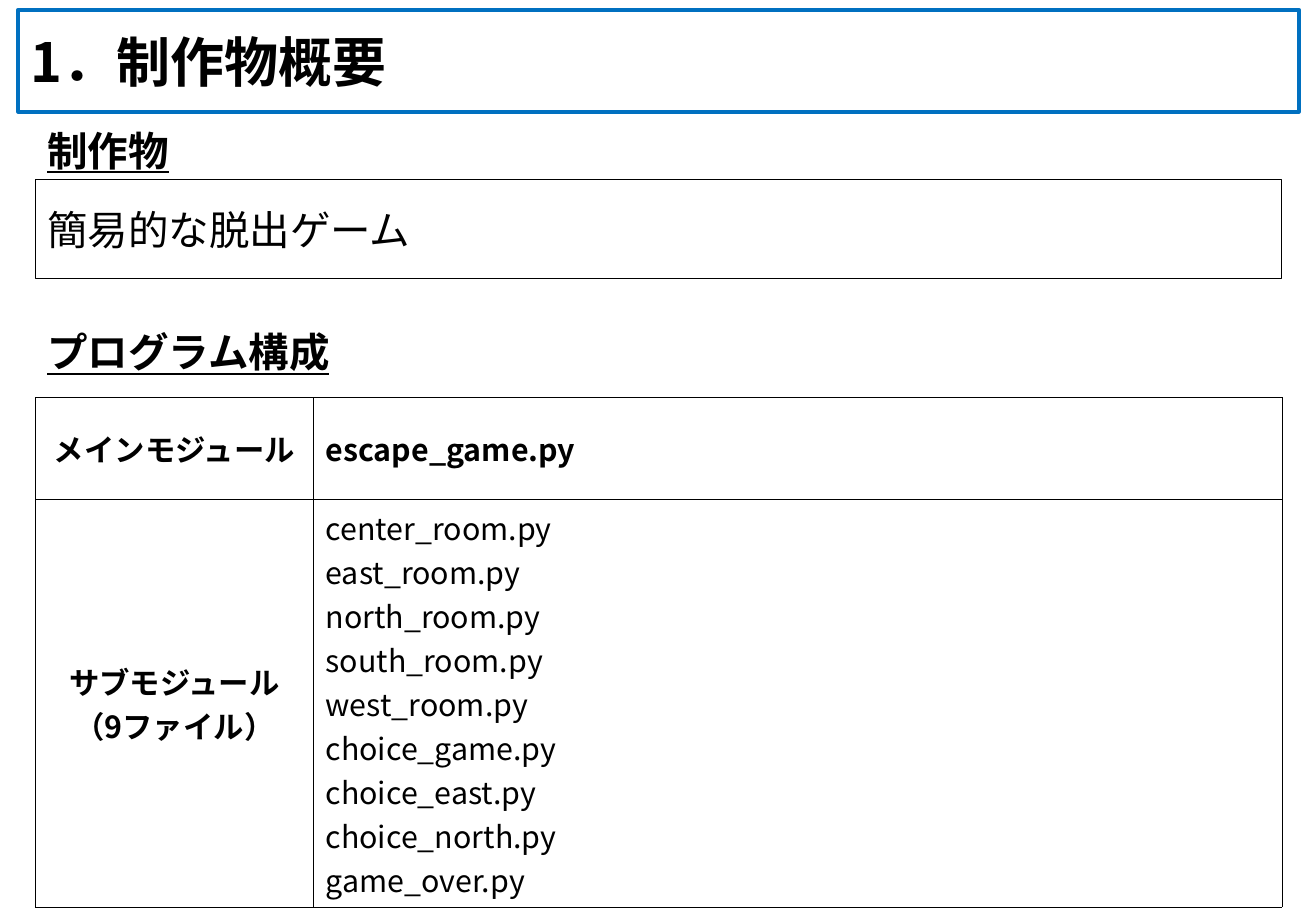
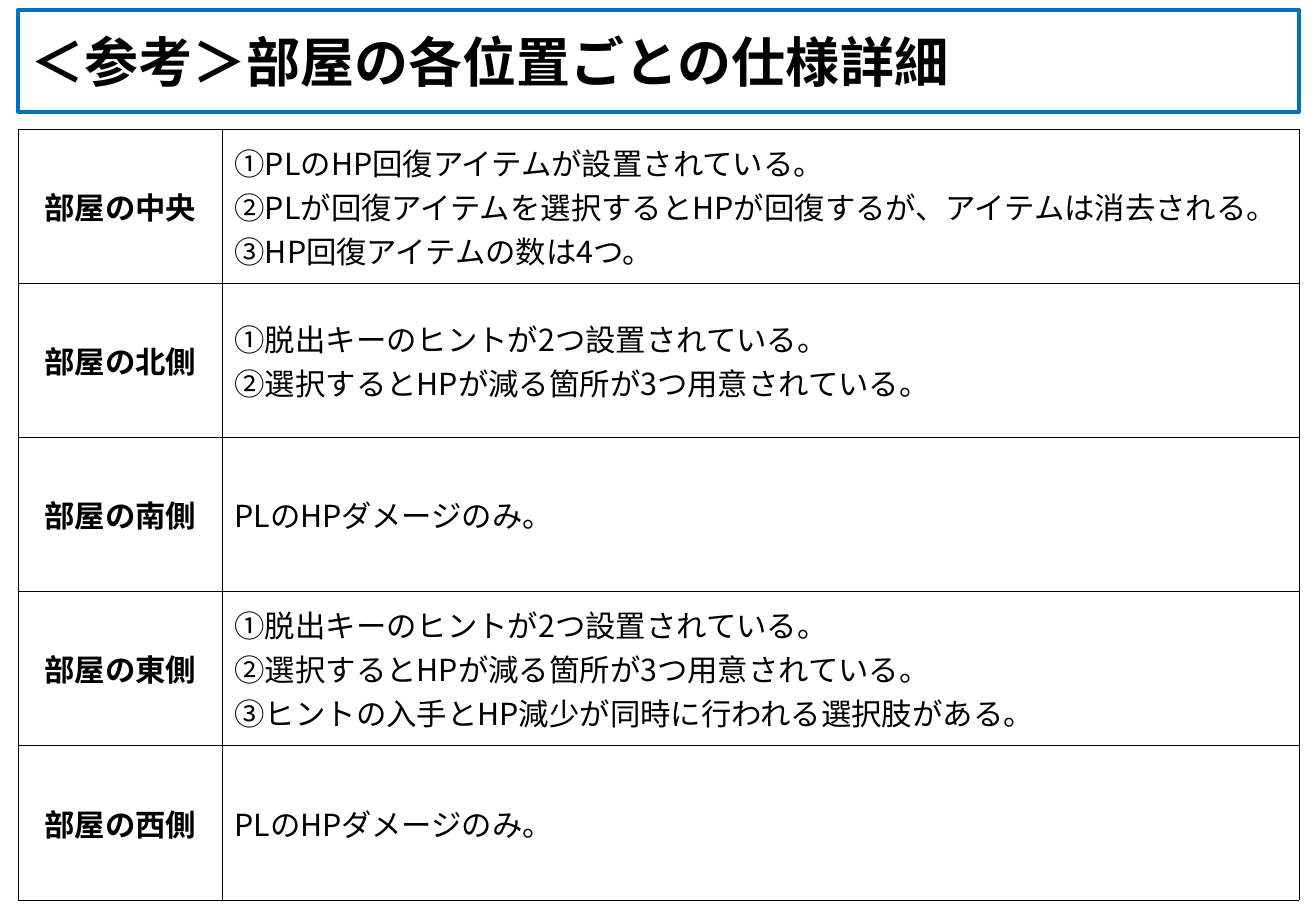
from lxml.etree import SubElement
from pptx import Presentation
from pptx.dml.color import RGBColor
from pptx.enum.shapes import MSO_SHAPE
from pptx.enum.text import MSO_ANCHOR, PP_ALIGN
from pptx.oxml import parse_xml
from pptx.oxml.ns import nsdecls, qn
from pptx.util import Inches, Pt

FONT = "Noto Sans CJK JP"
BLACK, WHITE, BLUE = "000000", "FFFFFF", "0070C0"

HINTS = ["①脱出キーのヒントが2つ設置されている。",
         "②選択するとHPが減る箇所が3つ用意されている。"]
DAMAGE = ["PLのHPダメージのみ。"]

SLIDES = [
    {
        "title": "1．制作物概要",
        "heads": [("制作物", 0.99), ("プログラム構成", 2.65)],
        "boxes": [("簡易的な脱出ゲーム", 1.48)],
        "table": {
            "at": (0.29, 3.27), "cols": [2.29, 7.97], "rows": [0.84, 3.05],
            "bold": [0],
            "cells": [
                (["メインモジュール"], ["escape_game.py"]),
                (["サブモジュール", "（9ファイル）"],
                 ["center_room.py", "east_room.py", "north_room.py",
                  "south_room.py", "west_room.py", "choice_game.py",
                  "choice_east.py", "choice_north.py", "game_over.py"]),
            ],
        },
    },
    {
        "title": "＜参考＞部屋の各位置ごとの仕様詳細",
        "heads": [],
        "boxes": [],
        "table": {
            "at": (0.15, 1.06), "cols": [1.68, 8.86], "rows": [1.27] * 5,
            "bold": [],
            "cells": [
                (["部屋の中央"],
                 ["①PLのHP回復アイテムが設置されている。",
                  "②PLが回復アイテムを選択するとHPが回復するが、アイテムは消去される。",
                  "③HP回復アイテムの数は4つ。"]),
                (["部屋の北側"], HINTS),
                (["部屋の南側"], DAMAGE),
                (["部屋の東側"],
                 HINTS + ["③ヒントの入手とHP減少が同時に行われる選択肢がある。"]),
                (["部屋の西側"], DAMAGE),
            ],
        },
    },
]


def color(code):
    return RGBColor.from_string(code)


def write(frame, lines, size, bold=False, under=False, align=PP_ALIGN.LEFT):
    frame.word_wrap = True
    frame.text = "\n".join(lines)
    for para in frame.paragraphs:
        para.alignment = align
        font = para.font
        font.name, font.size = FONT, Pt(size)
        font.bold, font.underline = bold, under
        font.color.rgb = color(BLACK)
        props = para._p.pPr.find(qn("a:defRPr"))
        SubElement(props, qn("a:ea"), typeface=FONT)


def add_box(slide, text, place, line, width, size, bold=False):
    box = slide.shapes.add_shape(MSO_SHAPE.RECTANGLE, *map(Inches, place))
    box.shadow.inherit = False
    box.fill.background()
    box.line.color.rgb = color(line)
    box.line.width = Pt(width)
    box.text_frame.vertical_anchor = MSO_ANCHOR.MIDDLE
    write(box.text_frame, [text], size, bold)


def add_head(slide, text, top):
    place = map(Inches, (0.29, top, 10.01, 0.49))
    frame = slide.shapes.add_textbox(*place).text_frame
    frame.vertical_anchor = MSO_ANCHOR.MIDDLE
    write(frame, [text], 24, bold=True, under=True)


def add_edges(cell):
    props = cell._tc.get_or_add_tcPr()
    for spot, side in enumerate("LRTB"):
        props.insert(spot, parse_xml(
            f'<a:ln{side} {nsdecls("a")} w="{Pt(0.25)}"><a:solidFill>'
            f'<a:srgbClr val="{BLACK}"/></a:solidFill></a:ln{side}>'))


def add_grid(slide, data):
    cols, rows = data["cols"], data["rows"]
    place = map(Inches, (*data["at"], sum(cols), sum(rows)))
    grid = slide.shapes.add_table(len(rows), len(cols), *place).table
    for col, width in zip(grid.columns, cols):
        col.width = Inches(width)
    for row, height in zip(grid.rows, rows):
        row.height = Inches(height)
    for r, pair in enumerate(data["cells"]):
        for c, lines in enumerate(pair):
            cell = grid.cell(r, c)
            cell.fill.solid()
            cell.fill.fore_color.rgb = color(WHITE)
            cell.vertical_anchor = MSO_ANCHOR.MIDDLE
            add_edges(cell)
            label = c == 0
            write(cell.text_frame, lines, 18, label or r in data["bold"],
                  align=PP_ALIGN.CENTER if label else PP_ALIGN.LEFT)


def main():
    """Build the two slides about the escape game."""
    deck = Presentation()
    deck.slide_width, deck.slide_height = Inches(10.83), Inches(7.5)
    for page in SLIDES:
        slide = deck.slides.add_slide(deck.slide_layouts[6])
        add_box(slide, page["title"], (0.15, 0.08, 10.54, 0.84),
                BLUE, 2.25, 32, bold=True)
        add_grid(slide, page["table"])
        for text, top in page["heads"]:
            add_head(slide, text, top)
        for text, top in page["boxes"]:
            add_box(slide, text, (0.29, top, 10.26, 0.81), BLACK, 0.5, 24)
    deck.save("out.pptx")


if __name__ == "__main__":
    main()
